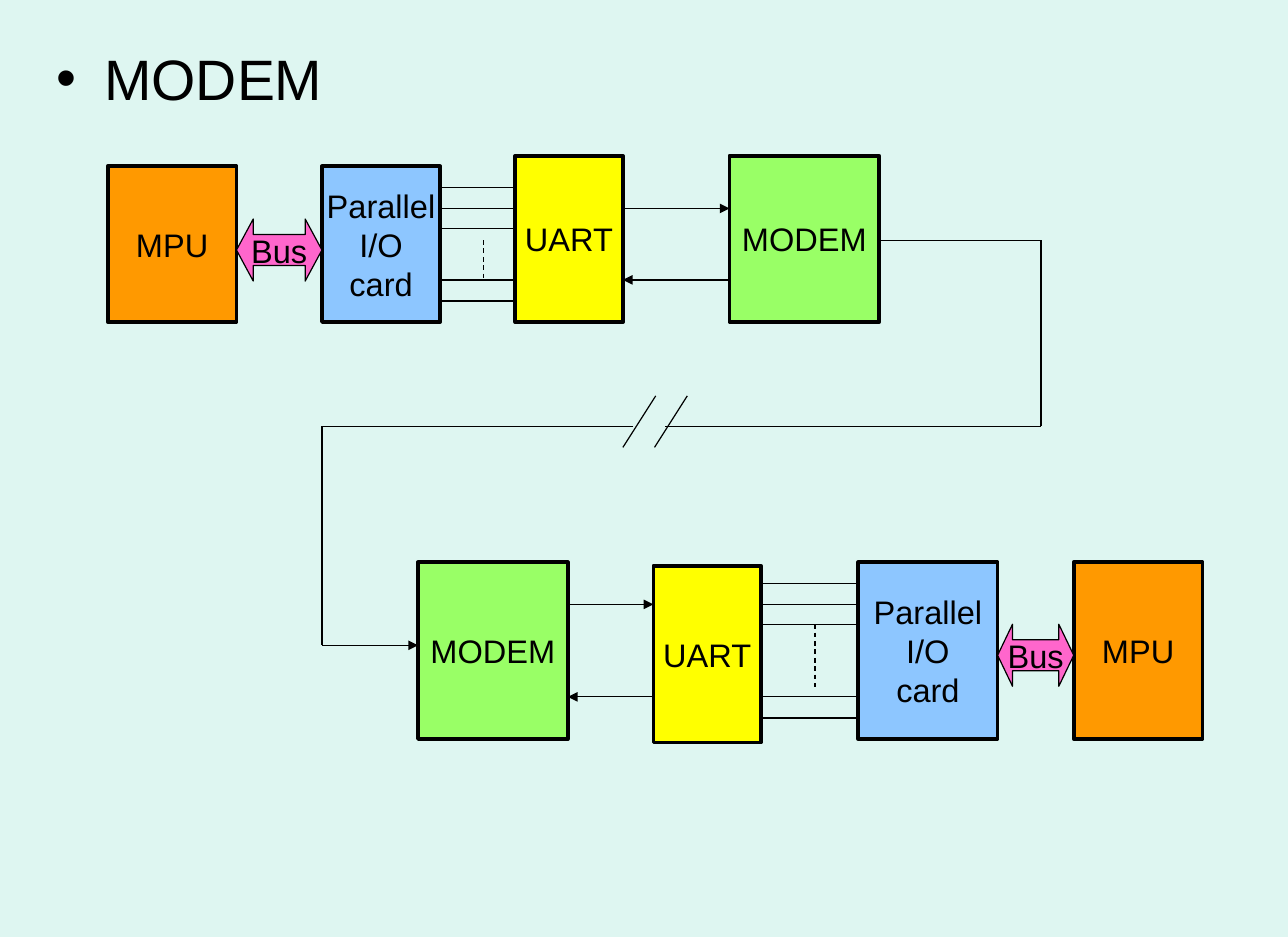
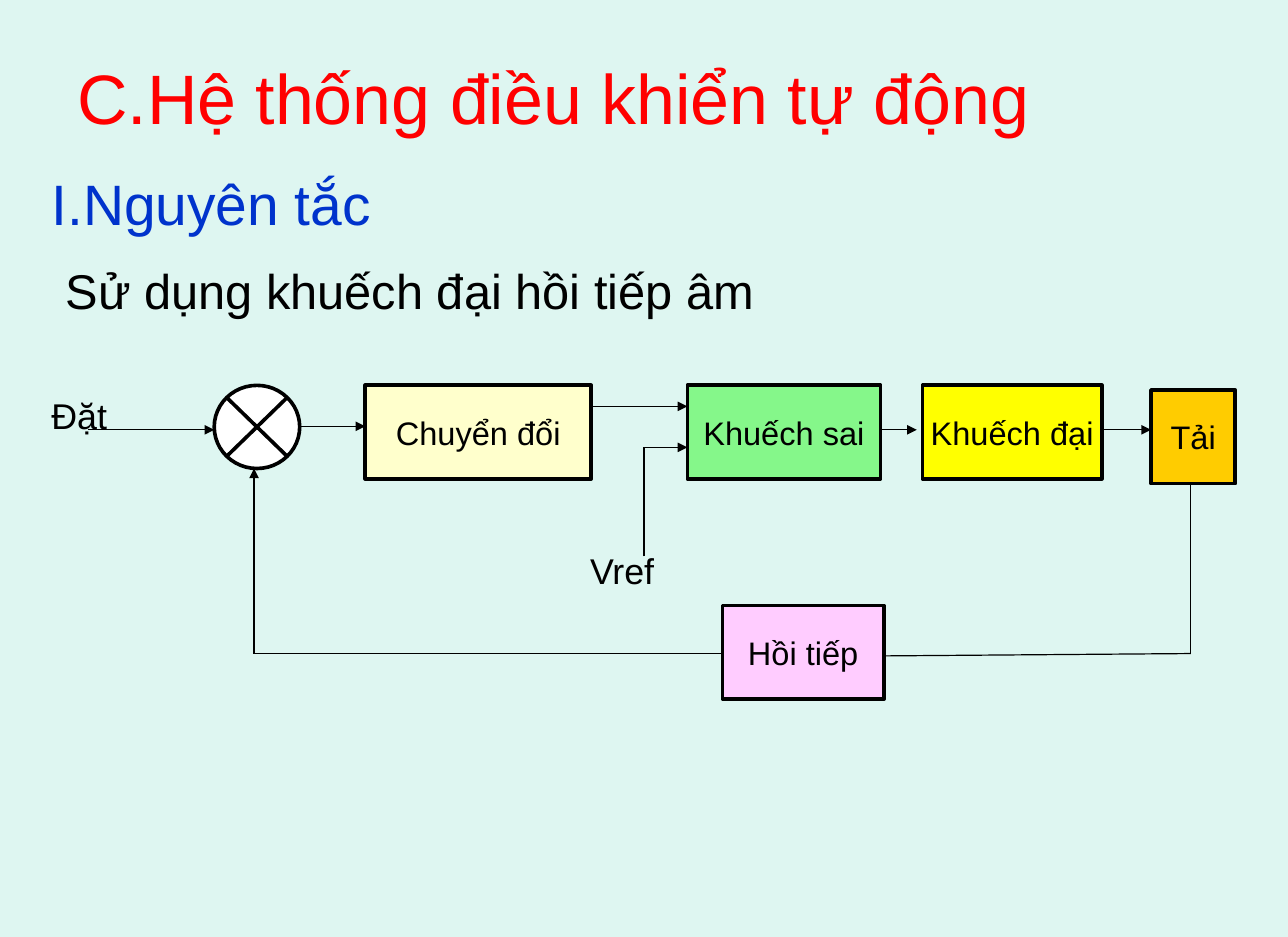
from itertools import pairwise

from lxml.etree import SubElement
from pptx import Presentation
from pptx.dml.color import RGBColor
from pptx.enum.dml import MSO_LINE
from pptx.enum.shapes import MSO_CONNECTOR, MSO_SHAPE
from pptx.enum.text import MSO_ANCHOR, MSO_AUTO_SIZE, PP_ALIGN
from pptx.oxml.ns import qn
from pptx.util import Pt

PX = 9144
FONT = "Arial"
COLORS = {
    "background": "DEF6F1", "ink": "000000", "title": "FF0000", "heading": "0033CC",
    "MPU": "FF9900", "Bus": "FF66CC", "card": "8DC6FF", "UART": "FFFF00", "MODEM": "99FF66",
    "junction": "FFFFFF", "Chuyển đổi": "FFFFCC", "Khuếch sai": "85F78A",
    "Khuếch đại": "FFFF00", "Tải": "FFCC00", "Hồi tiếp": "FFCCFF",
}


def rgb(name):
    return RGBColor.from_string(COLORS[name])


def emu(*lengths):
    return [length * PX for length in lengths]


def style(paragraph, size, color="ink", align=PP_ALIGN.LEFT):
    paragraph.alignment = align
    font = paragraph.font
    font.name, font.size, font.color.rgb = FONT, Pt(size), rgb(color)


def set_frame(frame, anchor, wrap=True):
    frame.auto_size = MSO_AUTO_SIZE.NONE
    frame.word_wrap = wrap
    frame.vertical_anchor = anchor
    frame.margin_left, frame.margin_right, frame.margin_top, frame.margin_bottom = emu(11, 11, 5, 5)


def add_title(slide, box, text, size, color="ink", anchor=MSO_ANCHOR.MIDDLE):
    title = slide.shapes.title
    title.left, title.top, title.width, title.height = emu(*box)
    title.text_frame.text = text
    set_frame(title.text_frame, anchor)
    paragraph = title.text_frame.paragraphs[0]
    style(paragraph, size, color)
    return paragraph


def add_bullet(paragraph, indent):
    props = paragraph._p.get_or_add_pPr()
    props.set("marL", str(indent * PX))
    props.set("indent", str(-indent * PX))
    SubElement(props, qn("a:buFont"), typeface=FONT)
    SubElement(props, qn("a:buChar"), char="•")


def add_text(slide, box, lines):
    frame = slide.shapes.add_textbox(*emu(*box)).text_frame
    set_frame(frame, MSO_ANCHOR.TOP)
    frame.text = "\n".join(text for text, _, _ in lines)
    for paragraph, (_, size, color) in zip(frame.paragraphs, lines):
        style(paragraph, size, color)
    return frame.paragraphs


def add_block(slide, box, color, label="", kind=MSO_SHAPE.RECTANGLE, weight=2.25):
    block = slide.shapes.add_shape(kind, *emu(*box))
    block.shadow.inherit = False
    block.fill.solid()
    block.fill.fore_color.rgb = rgb(color)
    block.line.color.rgb = rgb("ink")
    block.line.width = Pt(weight)
    if label:
        block.text_frame.text = label
        set_frame(block.text_frame, MSO_ANCHOR.MIDDLE, wrap=False)
        for paragraph in block.text_frame.paragraphs:
            style(paragraph, 20, align=PP_ALIGN.CENTER)
    return block


def add_wire(slide, *points, arrow=False, dashed=False):
    for start, end in pairwise(points):
        wire = slide.shapes.add_connector(MSO_CONNECTOR.STRAIGHT, *emu(*start, *end))
        wire.line.color.rgb = rgb("ink")
        wire.line.width = Pt(0.75)
        if dashed:
            wire.line.dash_style = MSO_LINE.DASH
        if arrow and end == points[-1]:
            SubElement(wire.line._get_or_add_ln(), qn("a:tailEnd"), type="triangle")
        SubElement(wire._element.spPr, qn("a:effectLst"))


def gap_between(first, second):
    left = min(first[0] + first[2], second[0] + second[2])
    return left, max(first[0], second[0])


def add_station(slide, box, parts, bus_top, bus_head, dash):
    left, top, height = box
    bottom = top + height
    places = {name: (left + x, top + y, width, height - y + drop)
              for name, (x, y, width, drop) in parts.items()}
    for name, place in places.items():
        add_block(slide, place, name, "Parallel\nI/O\ncard" if name == "card" else name)

    start, end = gap_between(places["MPU"], places["card"])
    bus = add_block(slide, (start, top + bus_top, end - start, 53), "Bus", "Bus",
                    MSO_SHAPE.LEFT_RIGHT_ARROW, 0.75)
    bus.adjustments[0], bus.adjustments[1] = 0.5, bus_head

    start, end = gap_between(places["card"], places["UART"])
    for y in (top + 18, top + 36, top + 53, bottom - 36, bottom - 18):
        add_wire(slide, (start, y), (end, y))
    middle = (start + end) // 2 + 5
    add_wire(slide, *((middle, top + y) for y in dash), dashed=True)

    start, end = gap_between(places["UART"], places["MODEM"])
    add_wire(slide, (start, top + 36), (end, top + 36), arrow=True)
    add_wire(slide, (end, bottom - 36), (start, bottom - 36), arrow=True)


def add_phone_line(slide, box):
    left, top, width, height = box
    right, bottom, break_y = left + width, top + height, top + 159
    add_wire(slide, (752, top), (right, top), (right, break_y), (568, break_y))
    add_wire(slide, (541, break_y), (left, break_y), (left, bottom), (357, bottom), arrow=True)
    for slash_left in (532, 559):
        add_wire(slide, (slash_left + 28, break_y - 26), (slash_left, break_y + 18))


def build_modem_slide(slide):
    heading = add_title(slide, (37, 32, 1063, 70), "MODEM", 35, anchor=MSO_ANCHOR.TOP)
    add_bullet(heading, 41)
    add_station(slide, (92, 142, 133), {
        "MPU": (0, 0, 110, 0), "card": (183, 0, 101, 0),
        "UART": (348, -9, 92, 0), "MODEM": (531, -9, 128, 0),
    }, 45, 0.27, (63, 98))
    add_phone_line(slide, (275, 205, 614, 346))
    add_station(slide, (357, 480, 151), {
        "MODEM": (0, 0, 128, 0), "UART": (201, 3, 92, 3),
        "card": (376, 0, 119, 0), "MPU": (560, 0, 110, 0),
    }, 53, 0.24, (53, 107))
    add_wire(slide, (513, 595), (513, 595), arrow=True)


def add_feedback_loop(slide, box):
    left, top = box

    def at(*points):
        return [(left + x, top + y) for x, y in points]

    add_block(slide, (left + 150, top, 73, 71), "junction",
              kind=MSO_SHAPE.FLOWCHART_SUMMING_JUNCTION)
    blocks = {
        "Chuyển đổi": (279, 0, 193), "Khuếch sai": (554, 0, 165),
        "Khuếch đại": (755, 0, 153), "Tải": (950, 4, 72), "Hồi tiếp": (584, 188, 138),
    }
    for name, (x, y, width) in blocks.items():
        add_block(slide, (left + x, top + y, width, 80), name, name)

    arrows = [
        [(42, 38), (150, 38)],
        [(224, 35), (279, 35)],
        [(471, 18), (554, 18)],
        [(517, 146), (517, 53), (554, 53)],
        [(719, 38), (750, 38)],
        [(908, 38), (950, 38)],
        [(584, 229), (184, 229), (184, 71)],
    ]
    for points in arrows:
        add_wire(slide, *at(*points), arrow=True)
    add_wire(slide, *at((984, 84), (984, 229), (722, 231)))

    for name, x, y in (("Đặt", 0, 2), ("Vref", 460, 135)):
        add_text(slide, (left + x, top + y, 90, 44), [(name, 22, "ink")])


def build_control_slide(slide):
    add_title(slide, (55, 32, 990, 101), "C.Hệ thống điều khiển tự động", 43, "title")
    _, principle = add_text(slide, (33, 139, 1012, 135), [
        ("I.Nguyên tắc", 35, "heading"),
        ("Sử dụng khuếch đại hồi tiếp âm", 30, "ink"),
    ])
    principle.space_before = Pt(14.5)
    principle._p.get_or_add_pPr().set("marL", str(12 * PX))
    add_feedback_loop(slide, (33, 329))


def main():
    deck = Presentation()
    deck.slide_width, deck.slide_height = emu(1100, 800)
    background = deck.slide_master.background.fill
    background.solid()
    background.fore_color.rgb = rgb("background")
    title_only = deck.slide_layouts[5]
    for build in (build_modem_slide, build_control_slide):
        build(deck.slides.add_slide(title_only))
    deck.save("out.pptx")


if __name__ == "__main__":
    main()
